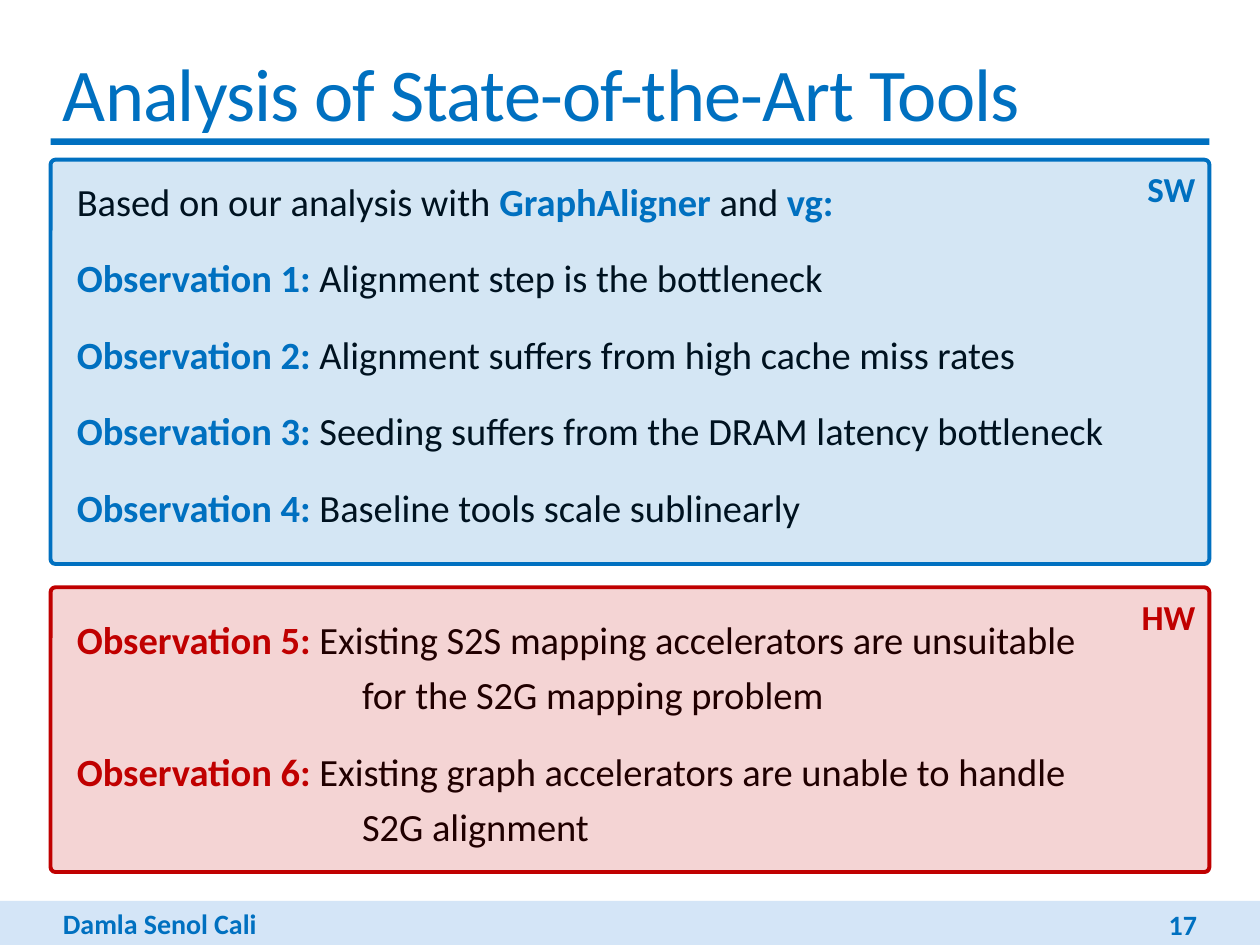
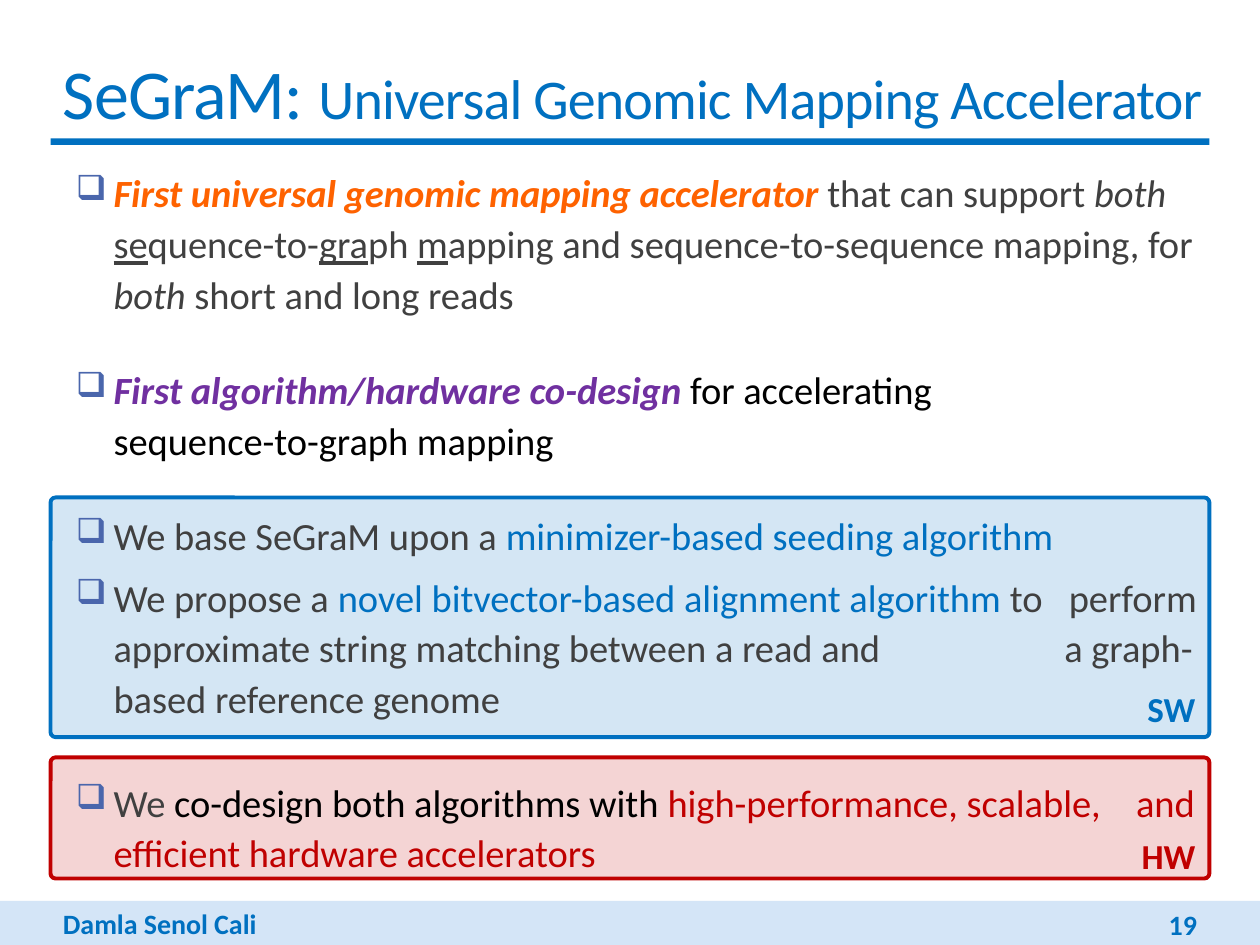
from dataclasses import dataclass

from lxml.etree import SubElement
from pptx import Presentation
from pptx.dml.color import RGBColor
from pptx.enum.shapes import MSO_SHAPE
from pptx.enum.text import MSO_ANCHOR, PP_ALIGN
from pptx.oxml.ns import qn
from pptx.util import Cm, Pt


@dataclass(frozen=True)
class Theme:
    font: str = "Calibri"
    blue: str = "0070C0"
    red: str = "C00000"
    orange: str = "FE6200"
    purple: str = "7030A0"
    bullet: str = "4A66AC"
    band: str = "D4E5F7"
    black: str = "000000"
    grey: str = "404040"
    title_size: float = 42.5
    body_size: float = 22
    badge_size: float = 20
    footer_size: float = 16
    left: float = 1.02
    width: float = 23.36
    panel_alpha: int = 17
    panel_line: float = 2.25
    panel_radius: float = 0.1


THEME = Theme()


@dataclass
class Span:
    text: str
    color: str = THEME.black
    marks: str = ""
    size: float = THEME.body_size
    spacing: float = 0


@dataclass
class Para:
    spans: list
    before: float = 0
    after: float = 0
    margin: float = 0
    hanging: float = 0
    line_spacing: float = 1
    bullet: bool = False
    align: PP_ALIGN = PP_ALIGN.LEFT


class Deck:
    def __init__(self, theme):
        self.theme = theme
        self.deck = Presentation()
        self.deck.slide_width, self.deck.slide_height = Cm(25.4), Cm(19.05)
        self.page = None

    def new_page(self, title, number):
        theme = self.theme
        self.page = self.deck.slides.add_slide(self.deck.slide_layouts[6])
        self.bar(0, 18.16, 25.4, 0.89, theme.band)
        self.bar(theme.left, 2.79, theme.width, 0.13, theme.blue)
        self.footer(theme.left, 18.16, 6.35, "Damla Senol Cali", PP_ALIGN.LEFT)
        self.footer(20.88, 18.18, 3.5, str(number), PP_ALIGN.RIGHT)
        frame = self.text_box(theme.left, 0.81, 24.38, 2.08, [Para(title)])
        frame.vertical_anchor = MSO_ANCHOR.MIDDLE

    def shape(self, kind, left, top, width, height, color):
        box = self.page.shapes.add_shape(kind, Cm(left), Cm(top), Cm(width), Cm(height))
        box.shadow.inherit = False
        box.fill.solid()
        box.fill.fore_color.rgb = RGBColor.from_string(color)
        return box

    def bar(self, left, top, width, height, color):
        self.shape(MSO_SHAPE.RECTANGLE, left, top, width, height, color).line.fill.background()

    def footer(self, left, top, width, text, align):
        span = Span(text, self.theme.blue, "b", self.theme.footer_size)
        self.text_box(left, top, width, 0.89, [Para([span], align=align)])

    def panel(self, top, height, label, color, anchor=MSO_ANCHOR.TOP, inset=0.13):
        theme = self.theme
        box = self.shape(MSO_SHAPE.ROUNDED_RECTANGLE, theme.left, top, theme.width, height, color)
        box.adjustments[0] = theme.panel_radius / height
        tint = box.element.spPr.find(qn("a:solidFill"))[0]
        SubElement(tint, qn("a:alpha"), val=str(theme.panel_alpha * 1000))
        box.line.color.rgb = RGBColor.from_string(color)
        box.line.width = Pt(theme.panel_line)
        frame = box.text_frame
        frame.vertical_anchor = anchor
        frame.margin_top = frame.margin_bottom = Cm(inset)
        span = Span(label, color, "b", theme.badge_size)
        self.fill_frame(frame, [Para([span], align=PP_ALIGN.RIGHT)])

    def text_box(self, left, top, width, height, paras):
        box = self.page.shapes.add_textbox(Cm(left), Cm(top), Cm(width), Cm(height))
        frame = box.text_frame
        frame.word_wrap = True
        self.fill_frame(frame, paras)
        return frame

    def body(self, top, height, paras):
        frame = self.text_box(self.theme.left, top, self.theme.width, height, paras)
        frame.margin_left = frame.margin_right = 0

    def fill_frame(self, frame, paras):
        for index, item in enumerate(paras):
            para = frame.add_paragraph() if index else frame.paragraphs[0]
            para.alignment = item.align
            para.line_spacing = item.line_spacing
            para.space_before, para.space_after = Pt(item.before), Pt(item.after)
            properties = para._p.get_or_add_pPr()
            properties.set("marL", str(Cm(item.margin)))
            properties.set("indent", str(Cm(-item.hanging)))
            if item.bullet:
                tint = SubElement(properties, qn("a:buClr"))
                SubElement(tint, qn("a:srgbClr"), val=self.theme.bullet)
                SubElement(properties, qn("a:buSzPct"), val="90000")
                SubElement(properties, qn("a:buChar"), char="❑")
            for span in item.spans:
                self.add_span(para, span)

    def add_span(self, para, span):
        for index, line in enumerate(span.text.split("\n")):
            if index:
                para.add_line_break()
            run = para.add_run()
            run.text = line
            font = run.font
            font.name, font.size = self.theme.font, Pt(span.size)
            font.color.rgb = RGBColor.from_string(span.color)
            font.bold, font.italic = "b" in span.marks, "i" in span.marks
            font.underline = "u" in span.marks
            if span.spacing:
                run._r.get_or_add_rPr().set("spc", str(int(span.spacing * 100)))

    def save(self):
        self.deck.save("out.pptx")


def title_span(text, size):
    return Span(text, THEME.blue, size=size, spacing=-0.5)


def statement(spans, after=12, margin=0.53):
    return Para(spans, after=after, margin=margin, line_spacing=1.2)


def observation(number, text, color, after=12):
    return statement([Span(f"Observation {number}: ", color, "b"), Span(text)], after)


def continuation(text):
    return statement([Span(text)], margin=6.28)


def point(spans, before=6):
    return Para(spans, before=before, margin=1.27, hanging=0.76, line_spacing=1.1, bullet=True)


def gap(points):
    return Span(" ", THEME.grey, spacing=points)


def analysis_page(deck):
    blue, red = THEME.blue, THEME.red
    deck.new_page([title_span("Analysis of State-of-the-Art Tools", THEME.title_size)], 17)
    deck.body(3.28, 14.5, [
        statement([
            Span("Based on our analysis with "),
            Span("GraphAligner ", blue, "b"),
            Span("and"),
            Span(" vg:", blue, "b"),
        ]),
        observation(1, "Alignment step is the bottleneck", blue),
        observation(2, "Alignment suffers from high cache miss rates", blue),
        observation(3, "Seeding suffers from the DRAM latency bottleneck", blue),
        observation(4, "Baseline tools scale sublinearly", blue, after=44),
        observation(5, "Existing S2S mapping accelerators are unsuitable", red, after=0),
        continuation("for the S2G mapping problem"),
        observation(6, "Existing graph accelerators are unable to handle", red, after=0),
        continuation("S2G alignment"),
    ])
    deck.panel(3.22, 8.15, "SW", blue)
    deck.panel(11.84, 5.74, "HW", red)


def segram_page(deck):
    blue, red, grey = THEME.blue, THEME.red, THEME.grey
    deck.new_page([
        title_span("SeGraM: ", 40),
        title_span("Universal Genomic Mapping Accelerator", 32),
    ], 19)
    deck.panel(10.03, 4.83, "SW", blue, MSO_ANCHOR.BOTTOM)
    deck.panel(15.27, 2.44, "HW", red, MSO_ANCHOR.BOTTOM, inset=0)
    deck.body(3.2, 14.6, [
        point([
            Span("First universal genomic mapping accelerator ", THEME.orange, "bi"),
            Span("that can support ", grey),
            Span("both ", grey, "i"),
            Span("se", grey, "u"),
            Span("quence-to-", grey),
            Span("gra", grey, "u"),
            Span("ph ", grey),
            Span("m", grey, "u"),
            Span("apping and sequence-to-sequence mapping, for ", grey),
            Span("both", grey, "i"),
            Span(" short and long reads", grey),
        ], before=0),
        point([
            Span("First algorithm/hardware co-design ", THEME.purple, "bi"),
            Span("for accelerating \nsequence-to-graph mapping"),
        ], before=25.4),
        point([
            Span("We base SeGraM upon a ", grey),
            Span("minimizer-based seeding algorithm", blue),
        ], before=25.4),
        point([
            Span("We propose a ", grey),
            Span("novel bitvector-based alignment algorithm ", blue),
            Span("to", grey),
            gap(10),
            Span("perform approximate string matching between a read and", grey),
            gap(100),
            Span("a graph-based reference genome", grey),
        ]),
        point([
            Span("We ", grey),
            Span("co-design both algorithms with "),
            Span("high-performance, scalable,", red),
            gap(15),
            Span("and efficient hardware accelerators", red),
        ], before=30),
    ])


def main():
    deck = Deck(THEME)
    analysis_page(deck)
    segram_page(deck)
    deck.save()


if __name__ == "__main__":
    main()
